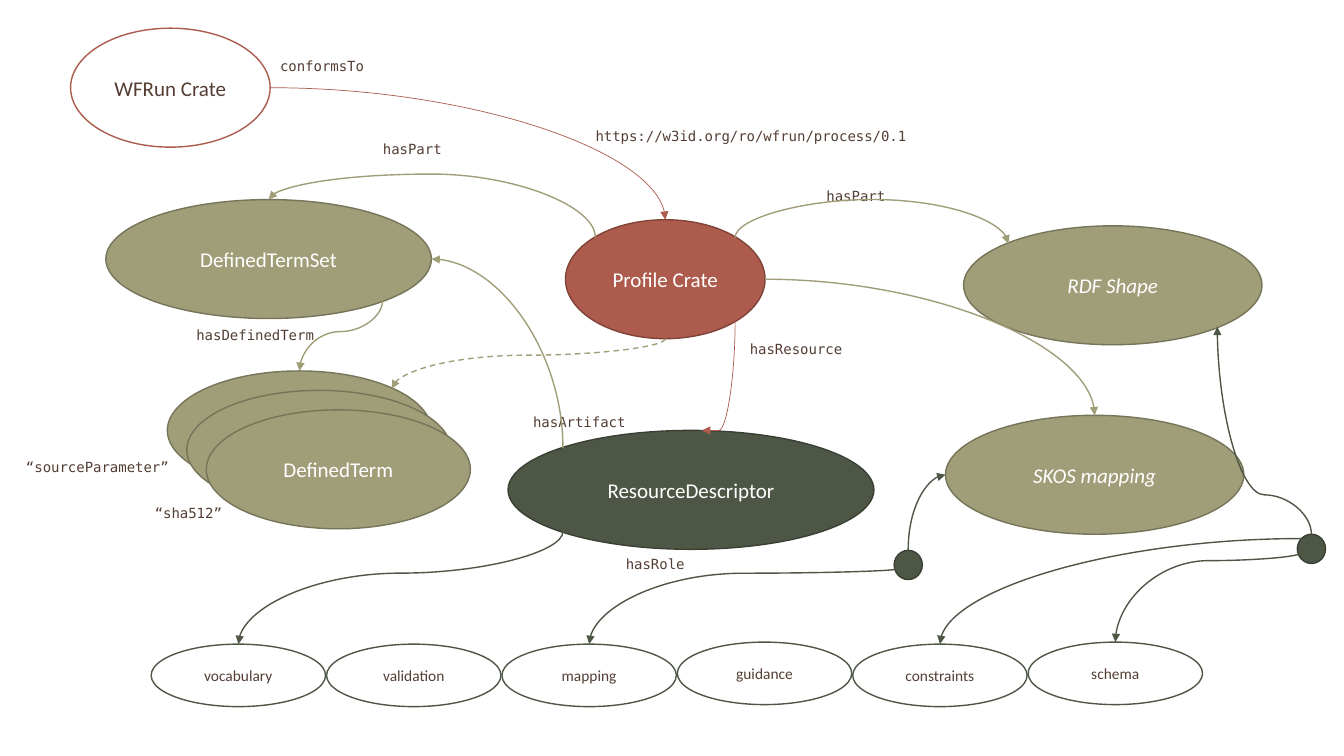
from lxml.etree import SubElement
from pptx import Presentation
from pptx.dml.color import RGBColor
from pptx.enum.dml import MSO_LINE
from pptx.enum.shapes import MSO_CONNECTOR as CONN, MSO_SHAPE as SHAPE
from pptx.enum.text import MSO_ANCHOR as ANCHOR, PP_ALIGN as ALIGN
from pptx.oxml.ns import qn
from pptx.util import Inches, Pt

CELL = 0.1
COLS, ROWS = 133.33, 75
NODE_H, ROLE_W, ROLE_H, ROLE_STEP = 11.8, 17.3, 6.2, 17.4
RED, OLIVE, GREEN, WHITE, BROWN = "AC5B4C", "A09D79", "4E5745", "FFFFFF", "543E34"
EDGES = {RED: "7F4338", OLIVE: "767459", GREEN: "394033"}
NEAR, FAR = 0.15, 0.85
SITES = {"top": (0.5, 0), "bottom": (0.5, 1), "left": (0, 0.5), "right": (1, 0.5),
         "top left": (NEAR, NEAR), "top right": (FAR, NEAR),
         "bottom left": (NEAR, FAR), "bottom right": (FAR, FAR),
         "dot side": (NEAR, 0.63), "near top": (0.53, 0)}


def rgb(hex_code):
    """Return the colour for a hex string."""
    return RGBColor.from_string(hex_code)


def grid(*cells):
    """Turn grid cells into slide lengths."""
    return [Inches(c * CELL) for c in cells]


def write(tf, text, size, color, font="Calibri", align=ALIGN.CENTER, italic=False):
    """Fill a text frame with one centred-height paragraph."""
    tf.word_wrap = True
    tf.vertical_anchor = ANCHOR.MIDDLE
    p = tf.paragraphs[0]
    p.text, p.alignment = text, align
    p.font.name, p.font.size, p.font.italic = font, Pt(size), italic
    p.font.color.rgb = rgb(color)


def node(s, box, fill, text="", size=15, edge=None, italic=False):
    """Draw an ellipse and return its box."""
    sp = s.shapes.add_shape(SHAPE.OVAL, *grid(*box))
    sp.shadow.inherit = False
    sp.fill.solid()
    sp.fill.fore_color.rgb = rgb(fill)
    sp.line.color.rgb = rgb(edge or EDGES[fill])
    sp.line.width = Pt(1)
    if text:
        write(sp.text_frame, text, size, BROWN if fill == WHITE else WHITE, italic=italic)
    return box


def label(s, x, y, w, text, align=ALIGN.LEFT):
    """Write a monospaced label."""
    sp = s.shapes.add_textbox(*grid(x, y, w, 2.7))
    write(sp.text_frame, text, 10, BROWN, "DejaVu Sans Mono", align)


def site(box, name):
    """Find a named connection point of a node."""
    x, y, w, h = box
    fx, fy = SITES[name]
    return x + w * fx, y + h * fy


def link(s, start, end, color, upright=True, bend=None, width=1, dashed=False):
    """Draw a curved arrow, leaving vertically when upright."""
    (x1, y1), (x2, y2) = start, end
    dx, dy = x2 - x1, y2 - y1
    mx, my = (x1 + x2) / 2, (y1 + y2) / 2
    turn = 0
    if upright:
        turn = 90 if dx * dy < 0 else 270
        dx, dy = (dy, -dx) if turn == 90 else (-dy, dx)
    c = s.shapes.add_connector(CONN.CURVE, *grid(mx - dx / 2, my - dy / 2,
                                                 mx + dx / 2, my + dy / 2))
    c.line.color.rgb = rgb(color)
    c.line.width = Pt(width)
    if dashed:
        c.line.dash_style = MSO_LINE.DASH
    pr = c._element.spPr
    pr.find(qn("a:xfrm")).set("rot", str(turn * 60000))
    geom = pr.find(qn("a:prstGeom"))
    if bend is None:
        geom.set("prst", "curvedConnector2")
    else:
        SubElement(geom.find(qn("a:avLst")), qn("a:gd"), name="adj1",
                   fmla=f"val {round(bend * 100000)}")
    SubElement(pr.find(qn("a:ln")), qn("a:tailEnd"), type="triangle")
    SubElement(pr, qn("a:effectLst"))


def terms(s, x, y):
    """Place the term set and the stack of terms."""
    term_set = node(s, (x + 8.9, y + 6.4, 32.3, NODE_H), OLIVE, "DefinedTermSet")
    stack = [node(s, (x + 15 + 1.93 * i, y + 23.4 + 1.93 * i, 26.2, NODE_H), OLIVE, text)
             for i, text in enumerate(["", "", "DefinedTerm"])]
    label(s, x + 35.4, y, 30.8, "hasPart")
    label(s, x + 16.9, y + 18.5, 16, "hasDefinedTerm")
    label(s, x, y + 31.6, 17.7, "“sourceParameter”")
    label(s, x + 5.4, y + 36.1, 16, "“sha512”", ALIGN.RIGHT)
    return {"set": term_set, "term": stack[0]}


def crates(s, x, y):
    """Place the run crate, the profile crate and the resource descriptor."""
    run = node(s, (x, y, 19.8, NODE_H), WHITE, "WFRun Crate", edge=RED)
    profile = node(s, (x + 49.1, y + 19, 19.8, NODE_H), RED, "Profile Crate")
    resource = node(s, (x + 43.4, y + 39.9, 36.3, NODE_H), GREEN, "ResourceDescriptor")
    label(s, x + 19.8, y + 2.4, 30.8, "conformsTo")
    label(s, x + 51.1, y + 9.3, 40.3, "https://w3id.org/ro/wfrun/process/0.1")
    label(s, x + 66.4, y + 30.5, 30.8, "hasResource")
    label(s, x + 44.9, y + 37.7, 13.1, "hasArtifact")
    return {"run": run, "profile": profile, "resource": resource}


def mappings(s, x, y):
    """Place the shape, the mapping and their junction dots."""
    shape = node(s, (x + 14.6, y + 4.3, 29.6, NODE_H), OLIVE, "RDF Shape", italic=True)
    skos = node(s, (x + 12.8, y + 23.1, 29.6, NODE_H), OLIVE, "SKOS mapping", italic=True)
    skos_dot = node(s, (x + 7.7, y + 36.5, 2.8, 2.9), GREEN)
    shape_dot = node(s, (x + 47.7, y + 34.9, 2.8, 2.9), GREEN)
    label(s, x, y, 10.1, "hasPart")
    return {"shape": shape, "skos": skos, "skos dot": skos_dot, "shape dot": shape_dot}


def roles(s, x, y):
    """Place the row of roles."""
    label(s, x + 46.1, y, 9.9, "hasRole")
    names = ["vocabulary", "validation", "mapping", "guidance", "constraints", "schema"]
    return {name: node(s, (x + i * ROLE_STEP, y + (9.1 if name in ("guidance", "schema") else 9.3),
                           ROLE_W, ROLE_H), WHITE, name, 11, GREEN)
            for i, name in enumerate(names)}


def links(s, nodes):
    """Join the nodes with curved arrows."""
    routes = [
        ("run", "right", "profile", "top", RED, dict(upright=False, width=0.5)),
        ("profile", "bottom right", "resource", "near top", RED, dict(bend=1, width=0.5)),
        ("profile", "top left", "set", "top", OLIVE, dict(bend=1.67)),
        ("profile", "top right", "shape", "top left", OLIVE, dict(bend=-6.31)),
        ("profile", "right", "skos", "top", OLIVE, dict(upright=False)),
        ("profile", "bottom", "term", "top right", OLIVE, dict(bend=0.33, dashed=True)),
        ("resource", "top left", "set", "right", OLIVE, {}),
        ("set", "bottom right", "term", "top", OLIVE, dict(bend=0.44)),
        ("resource", "bottom left", "vocabulary", "top", GREEN, dict(bend=0.37)),
        ("skos dot", "dot side", "mapping", "top", GREEN, dict(bend=0.06)),
        ("skos dot", "top", "skos", "left", GREEN, {}),
        ("shape dot", "dot side", "schema", "top", GREEN, dict(bend=0.09)),
        ("shape dot", "top", "shape", "bottom right", GREEN, dict(bend=0.19)),
        ("shape dot", "top left", "constraints", "top", GREEN, dict(upright=False)),
    ]
    for source, leave, target, arrive, color, style in routes:
        link(s, site(nodes[source], leave), site(nodes[target], arrive), color, **style)


def main():
    """Build and save the slide."""
    prs = Presentation()
    prs.slide_width, prs.slide_height = grid(COLS, ROWS)
    s = prs.slides.add_slide(prs.slide_layouts[6])
    nodes = {**terms(s, 1.6, 13.4), **crates(s, 7, 2.8),
             **mappings(s, 81, 18.1), **roles(s, 15, 54.6)}
    links(s, nodes)
    prs.save("out.pptx")


main()
